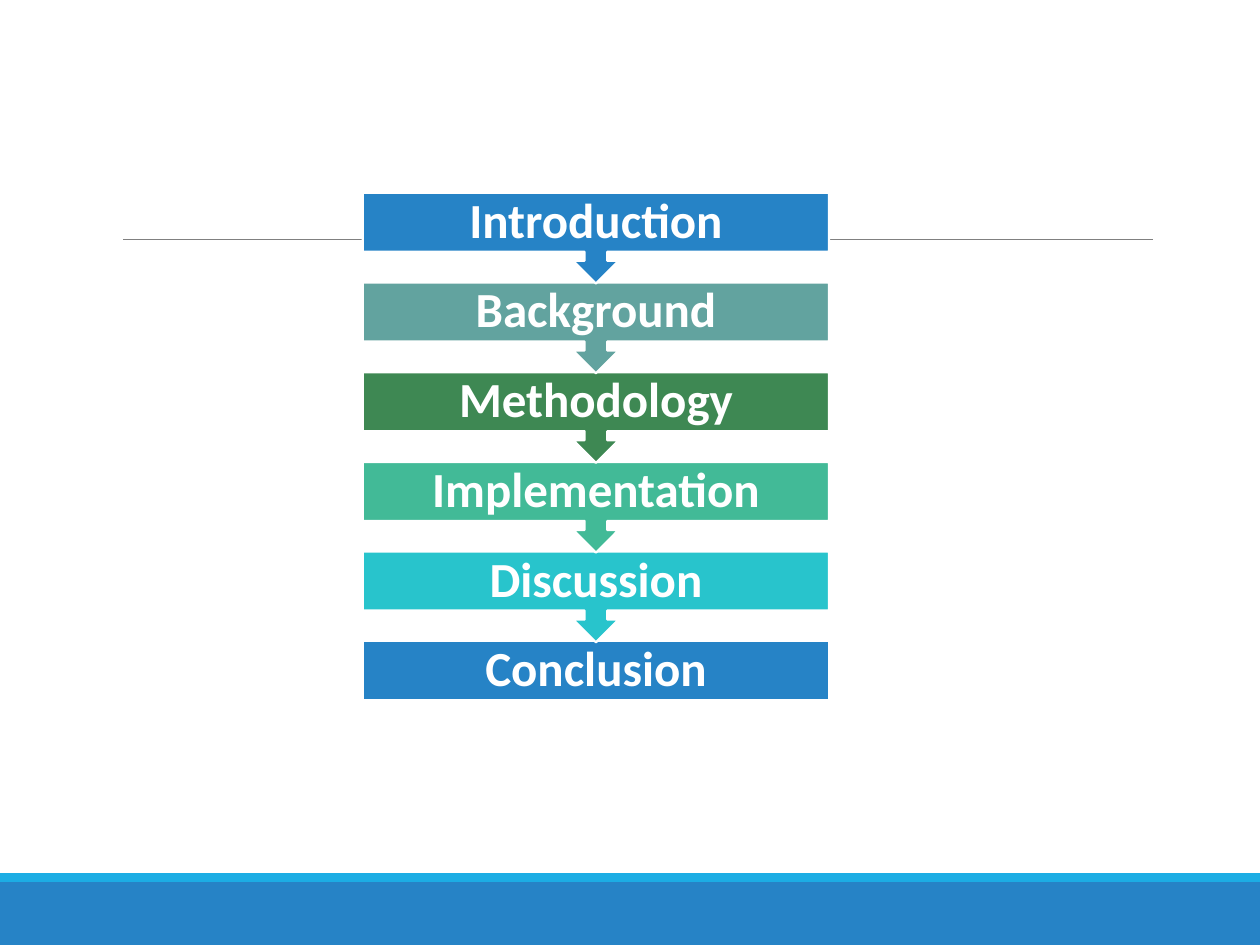
import pptx
import pptx.dml.color
import pptx.enum.shapes
import pptx.enum.text
import pptx.oxml
import pptx.oxml.ns
import pptx.util

SHAPE = pptx.enum.shapes.MSO_SHAPE
WIDTH, HEIGHT = 10, 7.5
LEFT, TOP, STEP_W, STEP_H, BOX_H, PITCH = 2.88, 1.53, 3.7, 0.72, 0.47, 0.712
STEPS = [
    ("Introduction", "2683C6"),
    ("Background", "62A39F"),
    ("Methodology", "3E8853"),
    ("Implementation", "42BA97"),
    ("Discussion", "28C4CC"),
    ("Conclusion", "2683C6"),
]
FRAME = {
    "word_wrap": True,
    "vertical_anchor": pptx.enum.text.MSO_ANCHOR.MIDDLE,
    "margin_left": pptx.util.Inches(0.22),
    "margin_right": pptx.util.Inches(0.22),
    "margin_top": 0,
    "margin_bottom": 0,
}
PARAGRAPH = {"alignment": pptx.enum.text.PP_ALIGN.CENTER, "line_spacing": 0.9}
FONT = {"name": "Calibri", "size": pptx.util.Pt(28), "bold": True}


def rgb(value):
    """Turn a hex string into a colour."""
    return pptx.dml.color.RGBColor.from_string(value)


def apply(obj, values):
    """Set each attribute of obj from a dict of format values."""
    for name, value in values.items():
        setattr(obj, name, value)


def add_block(s, kind, box, fill, line=None):
    """Add a filled preset shape, outlined only if a line colour is given."""
    sp = s.shapes.add_shape(kind, *map(pptx.util.Inches, box))
    sp.shadow.inherit = False
    sp.fill.solid()
    sp.fill.fore_color.rgb = rgb(fill)
    if line:
        sp.line.color.rgb = rgb(line)
        sp.line.width = pptx.util.Pt(1.25)
    else:
        sp.line.fill.background()
    return sp


def add_label(sp, text):
    """Write a centred bold label in a shape."""
    tf = sp.text_frame
    apply(tf, FRAME)
    p = tf.paragraphs[0]
    apply(p, PARAGRAPH)
    r = p.add_run()
    r.text = text
    apply(r.font, FONT)
    r.font.color.rgb = rgb("FFFFFF")


def add_rule(s, x1, x2, y):
    """Add a thin grey horizontal rule."""
    ends = map(pptx.util.Inches, (x1, y, x2, y))
    cx = s.shapes.add_connector(pptx.enum.shapes.MSO_CONNECTOR.STRAIGHT, *ends)
    cx.line.color.rgb = rgb("808080")
    cx.line.width = pptx.util.Pt(0.5)
    cx._element.spPr.append(pptx.oxml.parse_xml(
        "<a:effectLst %s/>" % pptx.oxml.ns.nsdecls("a")))


def add_step(s, row, text, fill, last):
    """Add one step of the flow; all but the last point to the next."""
    kind = SHAPE.RECTANGLE if last else SHAPE.DOWN_ARROW_CALLOUT
    height = BOX_H if last else STEP_H
    box = (LEFT, TOP + row * PITCH, STEP_W, height)
    add_label(add_block(s, kind, box, fill, "FFFFFF"), text)


def main():
    """Build the slide and save it."""
    prs = pptx.Presentation()
    prs.slide_width = pptx.util.Inches(WIDTH)
    prs.slide_height = pptx.util.Inches(HEIGHT)
    s = prs.slides.add_slide(prs.slide_layouts[6])
    add_block(s, SHAPE.RECTANGLE, (0, HEIGHT - 0.5, WIDTH, 0.5), "2683C6")
    add_block(s, SHAPE.RECTANGLE, (0, HEIGHT - 0.57, WIDTH, 0.07), "1CADE4")
    add_rule(s, 0.98, 9.15, 1.9)
    for row, (text, fill) in reversed(list(enumerate(STEPS))):
        add_step(s, row, text, fill, row == len(STEPS) - 1)
    prs.save("out.pptx")


if __name__ == "__main__":
    main()
